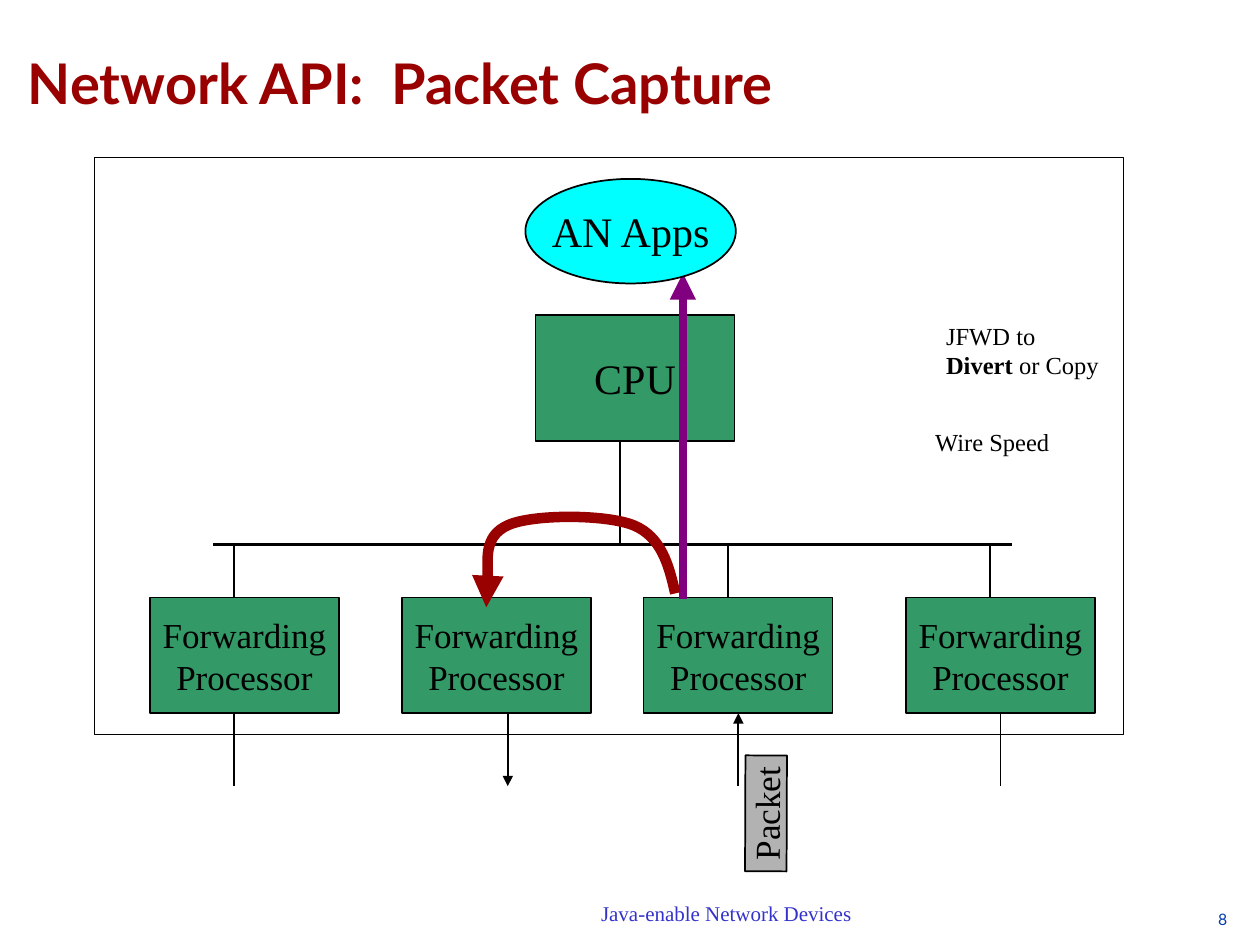
"""Build the packet capture slide of the Network API."""
from dataclasses import dataclass
from typing import Optional

from lxml.etree import SubElement
from pptx import Presentation
from pptx.dml.color import RGBColor
from pptx.enum.shapes import MSO_CONNECTOR, MSO_SHAPE as Shape
from pptx.enum.text import MSO_ANCHOR as Anchor, PP_ALIGN as Align
from pptx.oxml.ns import qn
from pptx.util import Inches, Pt


@dataclass(frozen=True)
class Theme:
    serif: str = "Times New Roman"
    sans: str = "Lato"
    black: str = "000000"
    title: str = "990000"
    footer: str = "3333CC"
    number: str = "003BB2"
    green: str = "339966"
    cyan: str = "00FFFF"
    gray: str = "B2B2B2"
    purple: str = "800080"
    title_size: float = 32
    node_size: float = 24
    label_size: float = 20
    note_size: float = 14
    footer_size: float = 12
    number_size: float = 9


T = Theme()


@dataclass(frozen=True)
class Node:
    left: float
    top: float
    width: float
    height: float
    text: str = ""
    fill: Optional[str] = None
    size: float = T.label_size
    kind: Shape = Shape.RECTANGLE
    line: float = 0.75
    rotation: float = 0


@dataclass(frozen=True)
class Label:
    left: float
    top: float
    width: float
    height: float
    text: str
    size: float
    color: str = T.black
    font: str = T.serif
    align: Align = Align.LEFT
    anchor: Anchor = Anchor.MIDDLE
    inset_x: float = 0.1
    inset_y: float = 0.05
    bold: bool = False
    wrap: bool = True


@dataclass(frozen=True)
class Wire:
    x1: float
    y1: float
    x2: float
    y2: float
    color: str = T.black
    width: float = 1
    arrow: Optional[str] = None


@dataclass(frozen=True)
class Port:
    left: float
    bus_x: float
    link_x: float
    arrow: Optional[str] = None


BUS_Y, PORT_TOP, PORT_W, PORT_H, LINK_END = 4.32, 4.74, 1.5, 0.92, 6.24
PORTS = [
    Port(1.19, 1.86, 1.86),
    Port(3.19, 3.86, 4.03, "tailEnd"),
    Port(5.11, 5.78, 5.86, "headEnd"),
    Port(7.19, 7.86, 7.94),
]
FORWARD_CURVE = [
    (5.36, 4.71), (5.31, 4.49), (5.25, 4.26), (5.03, 4.17),
    (4.81, 4.08), (4.22, 4.08), (4.03, 4.17),
    (3.83, 4.26), (3.89, 4.6), (3.86, 4.71),
    (3.83, 4.82), (3.85, 4.82), (3.86, 4.82),
]


def rgb(color: str) -> RGBColor:
    return RGBColor.from_string(color)


def write(tf, text: str, size: float, color: str, font: str, align: Align, bold: bool = False) -> None:
    for i, line in enumerate(text.split("\n")):
        p = tf.paragraphs[0] if i == 0 else tf.add_paragraph()
        p.text, p.alignment = line, align
        p.font.size, p.font.name, p.font.bold = Pt(size), font, bold
        p.font.color.rgb = rgb(color)


def set_line(sp, color: str, width: float, arrow: Optional[str] = None) -> None:
    sp.line.color.rgb = rgb(color)
    sp.line.width = Pt(width)
    if arrow:
        SubElement(sp.line._get_or_add_ln(), qn(f"a:{arrow}"), type="triangle")


def add_node(shapes, n: Node):
    sp = shapes.add_shape(n.kind, *map(Inches, (n.left, n.top, n.width, n.height)))
    sp.shadow.inherit = False
    sp.rotation = n.rotation
    if n.fill:
        sp.fill.solid()
        sp.fill.fore_color.rgb = rgb(n.fill)
    else:
        sp.fill.background()
    set_line(sp, T.black, n.line)
    if n.text:
        tf = sp.text_frame
        tf.word_wrap, tf.vertical_anchor = False, Anchor.MIDDLE
        write(tf, n.text, n.size, T.black, T.serif, Align.CENTER)
    return sp


def add_label(shapes, b: Label):
    tf = shapes.add_textbox(*map(Inches, (b.left, b.top, b.width, b.height))).text_frame
    tf.word_wrap, tf.vertical_anchor = b.wrap, b.anchor
    tf.margin_left = tf.margin_right = Inches(b.inset_x)
    tf.margin_top = tf.margin_bottom = Inches(b.inset_y)
    write(tf, b.text, b.size, b.color, b.font, b.align, b.bold)
    return tf


def add_wire(shapes, w: Wire):
    cxn = shapes.add_connector(MSO_CONNECTOR.STRAIGHT, *map(Inches, (w.x1, w.y1, w.x2, w.y2)))
    set_line(cxn, w.color, w.width, w.arrow)
    SubElement(cxn._element.spPr, qn("a:effectLst"))
    return cxn


def add_curve(shapes, points: list[tuple[float, float]], color: str, width: float) -> None:
    """Draw a chain of cubic curves, three points to each after the start."""
    start, *rest = [(Inches(x), Inches(y)) for x, y in points]
    builder = shapes.build_freeform(*start)
    builder.add_line_segments(rest, close=False)
    sp = builder.convert_to_shape()
    sp.shadow.inherit = False
    sp.fill.background()
    outline = sp._element.find(".//" + qn("a:path"))
    segments = outline.findall(qn("a:lnTo"))
    for i in range(0, len(segments), 3):
        cubic = SubElement(outline, qn("a:cubicBezTo"))
        for segment in segments[i:i + 3]:
            cubic.append(segment[0])
            outline.remove(segment)
    set_line(sp, color, width, "tailEnd")


def main() -> None:
    prs = Presentation()
    prs.slide_width, prs.slide_height = Inches(10), Inches(7.5)
    shapes = prs.slides.add_slide(prs.slide_layouts[6]).shapes

    add_label(shapes, Label(6.73, 7.22, 3.1, 0.17, "8", T.number_size, T.number, T.sans,
                            Align.RIGHT, Anchor.TOP, 0.09, 0))
    add_label(shapes, Label(4.67, 7.1, 2.19, 0.3, "Java-enable Network Devices", T.footer_size,
                            T.footer, align=Align.CENTER, wrap=False))
    title = add_label(shapes, Label(0.17, 0.25, 8.33, 0.73, "Network API:  Packet Capture", T.title_size,
                                    T.title, T.sans, anchor=Anchor.BOTTOM, inset_x=0.05, bold=True))
    title.paragraphs[0].line_spacing = 0.93

    add_wire(shapes, Wire(1.69, BUS_Y, 8.03, BUS_Y, width=2))
    add_node(shapes, Node(4.25, 2.5, 1.58, 1, "CPU", T.green, T.node_size))
    for port in PORTS:
        box = add_node(shapes, Node(port.left, PORT_TOP, PORT_W, PORT_H, "Forwarding\nProcessor", T.green))
        link = add_wire(shapes, Wire(port.link_x, PORT_TOP + PORT_H, port.link_x, LINK_END, arrow=port.arrow))
        if abs(port.link_x - port.left - PORT_W / 2) < 0.01:
            link.begin_connect(box, 2)
        add_wire(shapes, Wire(port.bus_x, BUS_Y, port.bus_x, PORT_TOP))
    add_node(shapes, Node(0.75, 1.25, 8.17, 4.58))
    add_wire(shapes, Wire(4.92, 3.5, 4.92, BUS_Y))
    add_wire(shapes, Wire(5.42, 4.75, 5.42, 2.17, T.purple, 5, "tailEnd"))
    add_curve(shapes, FORWARD_CURVE, T.title, 6)
    add_node(shapes, Node(4.17, 1.42, 1.67, 0.83, "AN Apps", T.cyan, T.node_size, Shape.OVAL, 1))

    note = add_label(shapes, Label(7.41, 2.5, 1.41, 0.56, "JFWD to\nDivert", T.note_size, wrap=False))
    p = note.paragraphs[1]
    p.runs[0].font.bold = True
    p.add_run().text = " or Copy"
    add_label(shapes, Label(7.25, 3.34, 1.25, 0.33, "Wire Speed", T.note_size, align=Align.CENTER))
    add_node(shapes, Node(5.62, 6.29, 0.92, 0.33, "Packet", T.gray, line=1, rotation=270.2))
    prs.save("out.pptx")


if __name__ == "__main__":
    main()
